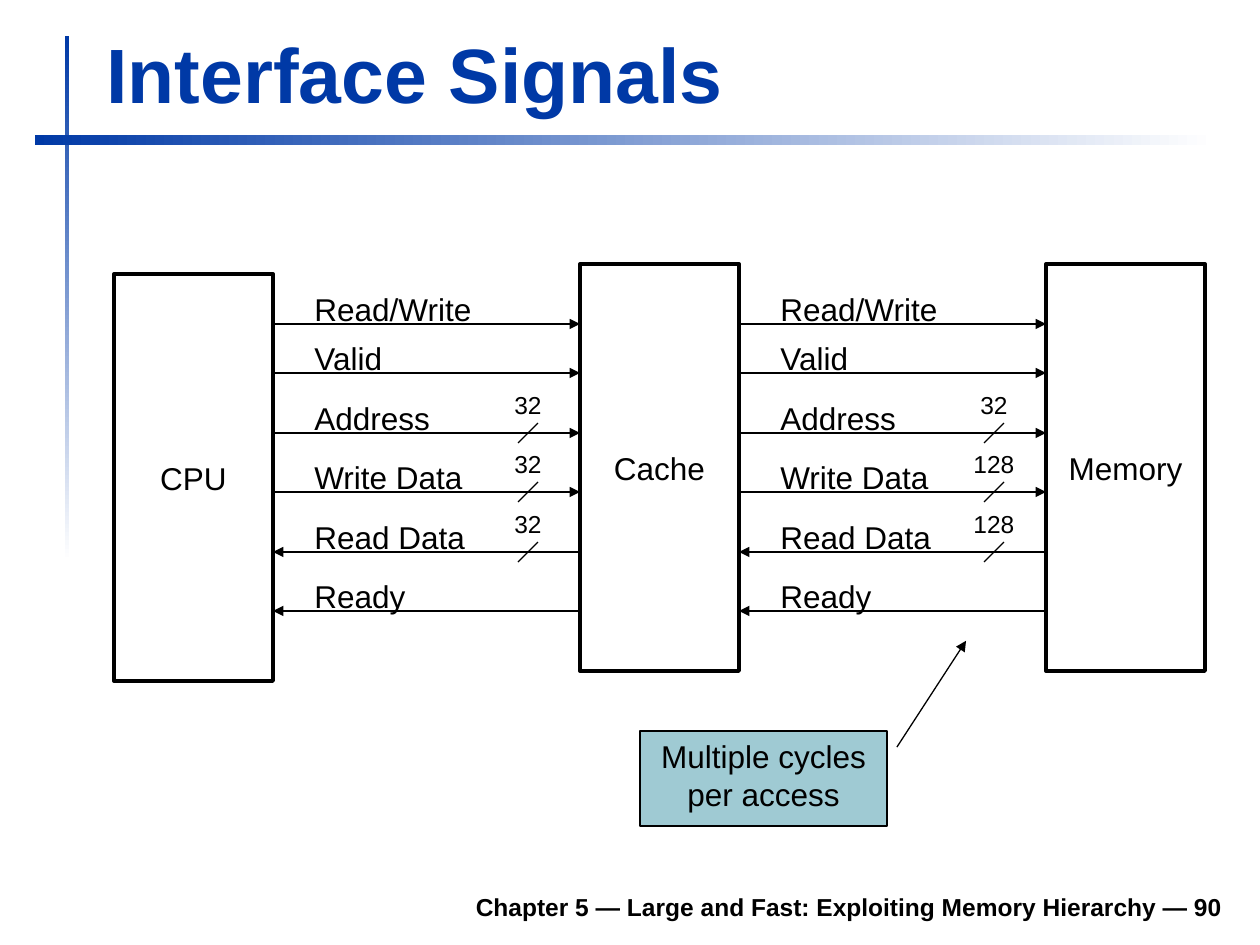
from pptx import Presentation
from pptx.dml.color import RGBColor
from pptx.enum.shapes import MSO_CONNECTOR, MSO_SHAPE
from pptx.enum.text import MSO_ANCHOR, MSO_AUTO_SIZE, PP_ALIGN
from pptx.oxml.ns import qn
from pptx.util import Emu, Pt
from lxml import etree

LINE = MSO_CONNECTOR.STRAIGHT
RECT, CALLOUT = MSO_SHAPE.RECTANGLE, MSO_SHAPE.LINE_CALLOUT_1
TOP, MID, LOW = MSO_ANCHOR.TOP, MSO_ANCHOR.MIDDLE, MSO_ANCHOR.BOTTOM
LEFT, MIDST, RIGHT = PP_ALIGN.LEFT, PP_ALIGN.CENTER, PP_ALIGN.RIGHT
GROW, FIXED = MSO_AUTO_SIZE.SHAPE_TO_FIT_TEXT, MSO_AUTO_SIZE.NONE

COLORS = {"ink": "000000", "blue": "0039A6", "white": "FFFFFF", "teal": "9FCAD3"}

# Name, label width, y below the link's top, arrow end, is a bus
SIGNALS = [
    ("Read/Write", 183, 0, "tail", False),
    ("Valid", 96, 49, "tail", False),
    ("Address", 141, 109, "tail", True),
    ("Write Data", 174, 168, "tail", True),
    ("Read Data", 176, 228, "head", True),
    ("Ready", 116, 287, "head", False),
]


def px(n):
    return Emu(round(n * 914400 / 126))


def rgb(name):
    return RGBColor.from_string(COLORS[name])


def write(shape, text, size=18, color="ink", bold=False, align=LEFT,
          anchor=TOP, wrap=False, fit=FIXED):
    frame = shape.text_frame
    frame.word_wrap = wrap
    frame.auto_size = fit
    frame.vertical_anchor = anchor
    para = frame.paragraphs[0]
    para.alignment = align
    run = para.add_run()
    run.text = text
    run.font.name = "Arial"
    run.font.size = Pt(size)
    run.font.bold = bold
    run.font.color.rgb = rgb(color)


def label(slide, box, text, **style):
    write(slide.shapes.add_textbox(*map(px, box)), text, **style)


def point(shape, end):
    """Put a triangle on the head or tail of a shape's line."""
    line = shape._element.spPr.find(qn("a:ln"))
    etree.SubElement(line, qn(f"a:{end}End"), type="triangle")


def stroke(slide, start, stop, width=0.75, end=None):
    wire = slide.shapes.add_connector(LINE, *map(px, start + stop))
    wire.line.color.rgb = rgb("ink")
    wire.line.width = Pt(width)
    if end:
        point(wire, end)
    etree.SubElement(wire._element.spPr, qn("a:effectLst"))


def bar(slide, box, angle):
    """Blue rule that fades to white."""
    rule = slide.shapes.add_shape(RECT, *map(px, box))
    rule.shadow.inherit = False
    rule.line.fill.background()
    rule.fill.gradient()
    rule.fill.gradient_angle = angle
    for stop, name in zip(rule.fill.gradient_stops, ("blue", "white")):
        stop.color.rgb = rgb(name)


def block(slide, box, text):
    """Outlined hardware unit."""
    unit = slide.shapes.add_shape(RECT, *map(px, box))
    unit.shadow.inherit = False
    unit.fill.background()
    unit.line.color.rgb = rgb("ink")
    unit.line.width = Pt(2.25)
    write(unit, text, align=MIDST, anchor=MID)


def link(slide, box, widths):
    """Signals between two units, with a bit width on each bus."""
    left, top, wide = box
    bits = iter(widths)
    for name, span, drop, end, bus in SIGNALS:
        y = top + drop
        stroke(slide, (left, y), (left + wide, y), 1.5 if bus else 0.75, end)
        label(slide, (left + 29, y - 40, span, 50), name, fit=GROW)
        if bus:
            stroke(slide, (left + 245, y + 10), (left + 265, y - 10))
            bit = next(bits)
            size = 27 + 13 * len(bit)
            label(slide, (left + 255 - size / 2, y - 49, size, 41), bit,
                  size=14, align=MIDST, fit=GROW)


def note(slide, box, text):
    """Callout with an arrow to the memory link."""
    call = slide.shapes.add_shape(CALLOUT, *map(px, box))
    call.shadow.inherit = False
    for i, value in enumerate((0.17, 1.04, -0.95, 1.32)):
        call.adjustments[i] = value
    call.fill.solid()
    call.fill.fore_color.rgb = rgb("teal")
    call.line.color.rgb = rgb("ink")
    call.line.width = Pt(0.75)
    point(call, "tail")
    write(call, text, align=MIDST, wrap=True)


def head(slide, box, text):
    title = slide.shapes.title
    title.left, title.top, title.width, title.height = map(px, box)
    write(title, text, size=44, color="blue", bold=True, anchor=LOW,
          wrap=True, fit=GROW)


def main():
    deck = Presentation()
    deck.slide_width, deck.slide_height = px(1260), px(945)
    slide = deck.slides.add_slide(deck.slide_layouts[5])

    # Frame: rules, footer and title
    bar(slide, (65, 36, 4, 525), 270)
    bar(slide, (35, 135, 1180, 10), 0)
    label(slide, (233, 879, 1002, 49),
          "Chapter 5 — Large and Fast: Exploiting Memory Hierarchy — 90",
          size=14, bold=True, align=RIGHT, anchor=LOW, wrap=True)
    head(slide, (94, 20, 1138, 105), "Interface Signals")

    # Units, evenly spaced
    left, pitch, wide = 114, 466, 159
    for i, (name, top) in enumerate((("CPU", 274), ("Cache", 264), ("Memory", 264))):
        block(slide, (left + i * pitch, top, wide, 407), name)

    # Links fill the gaps between units
    for i, widths in enumerate((("32", "32", "32"), ("32", "128", "128"))):
        link(slide, (left + wide + i * pitch, 324, pitch - wide), widths)

    note(slide, (640, 731, 247, 95), "Multiple cycles per access")
    deck.save("out.pptx")


if __name__ == "__main__":
    main()
